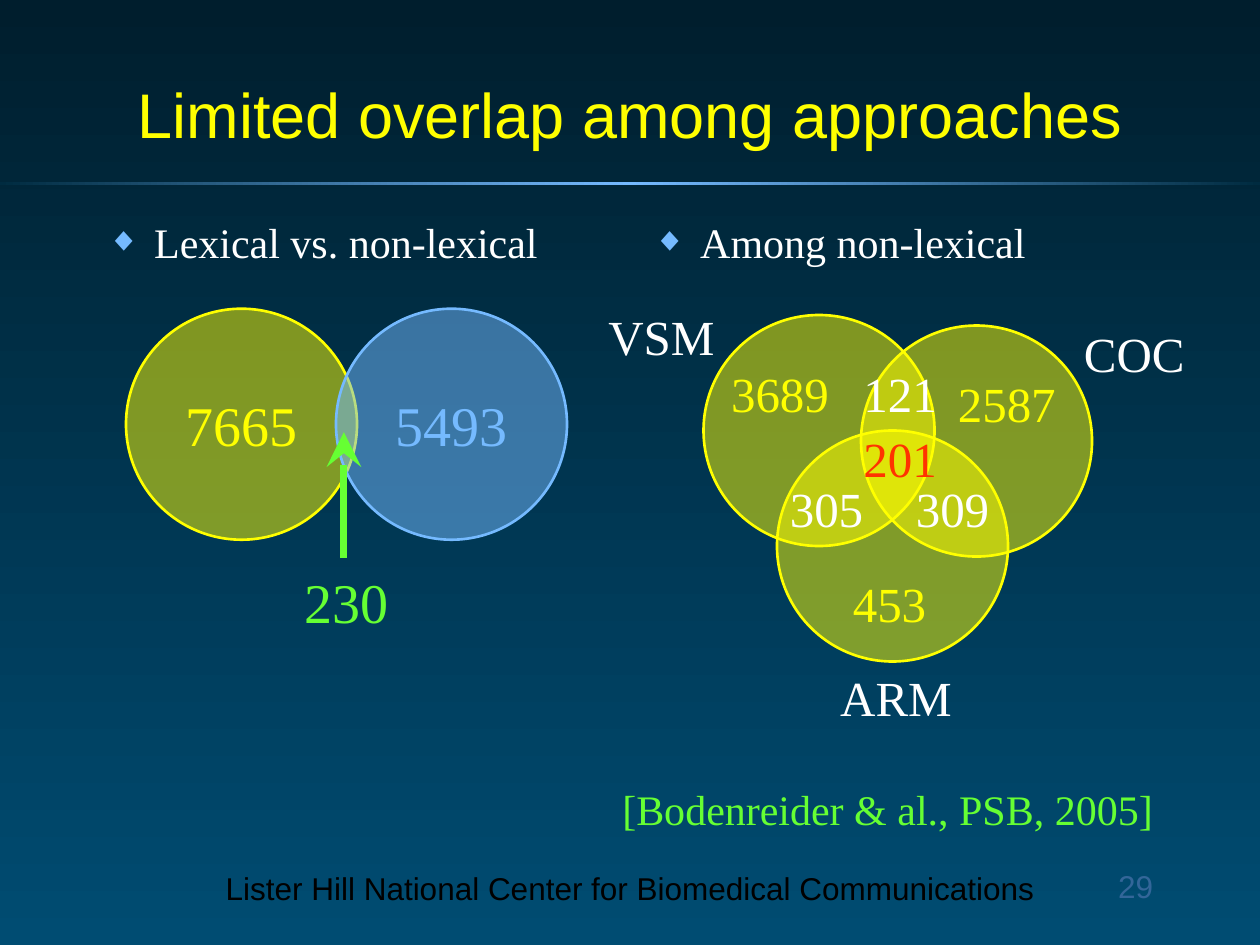
import copy
from dataclasses import dataclass

import pptx
import pptx.dml.color
import pptx.enum.shapes
import pptx.enum.text
import pptx.oxml
import pptx.oxml.ns
import pptx.util

Pt = pptx.util.Pt
RGB = pptx.dml.color.RGBColor.from_string
ALIGN = pptx.enum.text.PP_ALIGN
ANCHOR = pptx.enum.text.MSO_ANCHOR
SHAPE = pptx.enum.shapes.MSO_SHAPE
A_NS = 'xmlns:a="http://schemas.openxmlformats.org/drawingml/2006/main"'


@dataclass(frozen=True)
class Theme:
    sans: str = "Arial"
    serif: str = "Times New Roman"
    yellow: str = "FFFF00"
    blue: str = "75BAFF"
    green: str = "66FF33"
    red: str = "FF3300"
    white: str = "FFFFFF"
    black: str = "000000"
    page_blue: str = "336699"
    sky_top: str = "001E2D"
    sky_bottom: str = "004C72"
    rule_edge: str = "002B40"
    title_size: int = 36
    total_size: int = 32
    label_size: int = 28
    body_size: int = 24
    footer_size: int = 18


theme = Theme()


def write(frame, text, size, color, font=theme.serif, align=ALIGN.CENTER,
          wrap=False, anchor=ANCHOR.TOP, bullet=False):
    """Put one styled run in a text frame, with a diamond bullet if asked."""
    frame.word_wrap = wrap
    frame.vertical_anchor = anchor
    paragraph = frame.paragraphs[0]
    paragraph.alignment = align
    if bullet:
        properties = paragraph._p.get_or_add_pPr()
        properties.set("marL", str(Pt(27)))
        properties.set("indent", str(-Pt(27)))
        for element in (
            f'<a:buClr {A_NS}><a:srgbClr val="{theme.blue}"/></a:buClr>',
            f'<a:buSzPct {A_NS} val="80000"/>',
            f'<a:buFont {A_NS} typeface="{theme.serif}"/>',
            f'<a:buChar {A_NS} char="◆"/>',
        ):
            properties.append(pptx.oxml.parse_xml(element))
    run = paragraph.add_run()
    run.text = text
    run.font.name = font
    run.font.size = Pt(size)
    run.font.color.rgb = RGB(color)


def add_circle(left, top, color):
    """Add one half-transparent set of a Venn diagram."""
    circle = slide.shapes.add_shape(
        SHAPE.OVAL, Pt(left), Pt(top), Pt(132), Pt(132))
    circle.shadow.inherit = False
    circle.fill.solid()
    circle.fill.fore_color.rgb = RGB(color)
    fill_color = circle._element.spPr.find(
        pptx.oxml.ns.qn("a:solidFill"))[0]
    fill_color.append(pptx.oxml.parse_xml(f'<a:alpha {A_NS} val="50000"/>'))
    circle.line.color.rgb = RGB(color)
    circle.line.width = Pt(1.5)
    return circle


presentation = pptx.Presentation()
presentation.slide_width = Pt(720)
presentation.slide_height = Pt(540)
slide = presentation.slides.add_slide(presentation.slide_layouts[6])

# Background and the glowing rule under the title
sky = slide.background.fill
sky.gradient()
sky.gradient_angle = 270
for stop, color in zip(sky.gradient_stops, (theme.sky_top, theme.sky_bottom)):
    stop.color.rgb = RGB(color)

rule = slide.shapes.add_shape(SHAPE.RECTANGLE, 0, Pt(103.75), Pt(720), Pt(2))
rule.shadow.inherit = False
rule.line.fill.background()
rule.fill.gradient()
rule.fill.gradient_angle = 0
stop_list = rule._element.spPr.find(".//" + pptx.oxml.ns.qn("a:gsLst"))
stop_list.insert(1, copy.deepcopy(stop_list[0]))
rule_colors = (theme.rule_edge, theme.blue, theme.rule_edge)
for stop, position, color in zip(
        rule.fill.gradient_stops, (0, 0.5, 1), rule_colors):
    stop.position = position
    stop.color.rgb = RGB(color)

# Footer, title, page number and the two column headings
framing = [
    (117, 493, 486, 29, "Lister Hill National Center for Biomedical Communications",
     theme.footer_size, theme.black, dict(font=theme.sans)),
    (54, 36, 612, 54, "Limited overlap among approaches",
     theme.title_size, theme.yellow,
     dict(font=theme.sans, anchor=ANCHOR.BOTTOM)),
    (516, 492, 150, 36, "29", theme.footer_size, theme.page_blue,
     dict(font=theme.sans, align=ALIGN.RIGHT)),
    (54, 120, 300, 360, "Lexical vs. non-lexical",
     theme.body_size, theme.white, dict(align=ALIGN.LEFT, bullet=True)),
    (366, 120, 300, 360, "Among non-lexical",
     theme.body_size, theme.white, dict(align=ALIGN.LEFT, bullet=True)),
]
for left, top, width, height, text, size, color, style in framing:
    box = slide.shapes.add_textbox(Pt(left), Pt(top), Pt(width), Pt(height))
    write(box.text_frame, text, size, color, wrap=True, **style)

# Lexical vs. non-lexical: two sets and an arrow to their overlap
for left, total, color in ((72, "7665", theme.yellow),
                           (192, "5493", theme.blue)):
    circle = add_circle(left, 176.4, color)
    write(circle.text_frame, total, theme.total_size, color,
          anchor=ANCHOR.MIDDLE)

overlap_arrow = slide.shapes.add_connector(
    pptx.enum.shapes.MSO_CONNECTOR.STRAIGHT,
    Pt(196.5), Pt(319), Pt(196.5), Pt(247))
overlap_arrow.line.color.rgb = RGB(theme.green)
overlap_arrow.line.width = Pt(4)
overlap_arrow.line._get_or_add_ln().append(pptx.oxml.parse_xml(
    f'<a:tailEnd {A_NS} type="stealth" w="lg" len="lg"/>'))
overlap_arrow._element.spPr.append(
    pptx.oxml.parse_xml(f"<a:effectLst {A_NS}/>"))

# Among non-lexical: three sets
for left, top in ((402, 180), (492, 186), (444, 246)):
    add_circle(left, top, theme.yellow)

# Set names, counts and the reference
labels = [
    (166.7, 320.8, 62.4, "230", theme.total_size, theme.green),
    (340.2, 171.8, 75.4, "VSM", theme.label_size, theme.white),
    (612, 181.5, 72.4, "COC", theme.label_size, theme.white),
    (473, 378, 78, "ARM", theme.label_size, theme.white),
    (410.4, 204, 70.6, "3689", theme.label_size, theme.yellow),
    (540, 210, 70.6, "2587", theme.label_size, theme.yellow),
    (480, 324, 56.6, "453", theme.label_size, theme.yellow),
    (444, 270, 56.6, "305", theme.label_size, theme.white),
    (516, 270, 56.6, "309", theme.label_size, theme.white),
    (486, 204, 56.6, "121", theme.label_size, theme.white),
    (486, 241.2, 56.6, "201", theme.label_size, theme.red),
    (348.2, 444, 317.8, "[Bodenreider & al., PSB, 2005]",
     theme.body_size, theme.green),
]
for left, top, width, text, size, color in labels:
    box = slide.shapes.add_textbox(
        Pt(left), Pt(top), Pt(width), Pt(round(size * 1.2 + 7.2)))
    align = ALIGN.RIGHT if size == theme.body_size else ALIGN.CENTER
    write(box.text_frame, text, size, color, align=align)
    box.text_frame.auto_size = pptx.enum.text.MSO_AUTO_SIZE.SHAPE_TO_FIT_TEXT

presentation.save("out.pptx")
